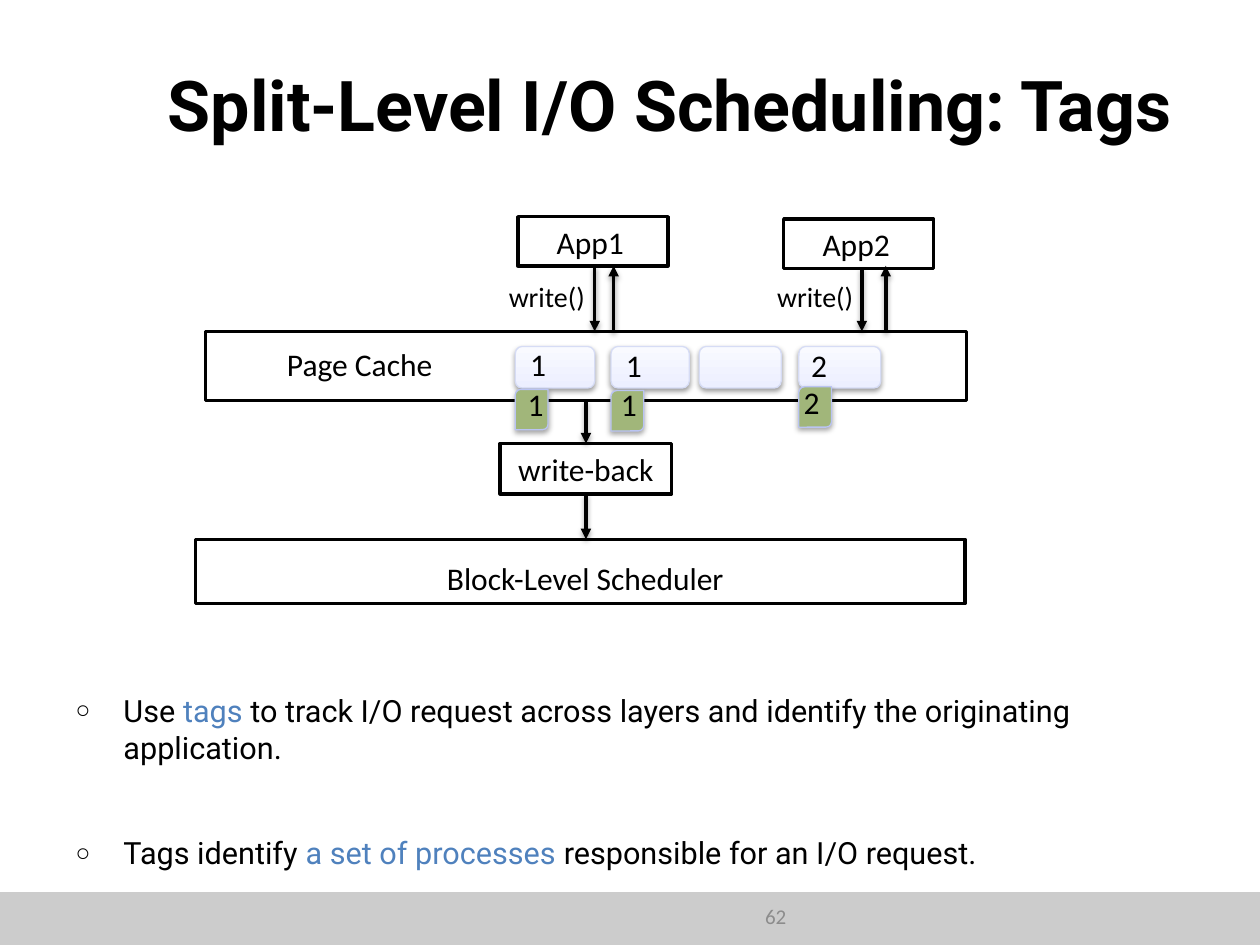
import lxml.etree
import pptx
import pptx.dml.color
import pptx.enum.shapes
import pptx.enum.text
import pptx.oxml.ns
import pptx.util

Inches = pptx.util.Inches
Pt = pptx.util.Pt
Shape = pptx.enum.shapes.MSO_SHAPE
Align = pptx.enum.text.PP_ALIGN
AutoSize = pptx.enum.text.MSO_AUTO_SIZE

COLORS = {
    "ink": "000000",
    "paper": "FFFFFF",
    "footer": "CCCCCC",
    "number": "8C8C8C",
    "accent": "4F81BD",
    "page_low": "ECEFFF",
    "page_high": "F9FAFF",
    "page_edge": "D6DCF5",
    "tag": "A1B67A",
    "tag_edge": "BAC4F2",
}


def rgb(name):
    return pptx.dml.color.RGBColor.from_string(COLORS[name])


def add_xml(parent, tag, **attributes):
    return lxml.etree.SubElement(parent, pptx.oxml.ns.qn(tag), attributes)


class SlideBuilder:
    heading_font = "Roboto"
    diagram_font = "Calibri"
    line_width = Pt(2)
    thin_width = Pt(0.75)

    def __init__(self, slide):
        self.slide = slide

    def style(self, font, name, size, color="ink", bold=False):
        font.name = name
        font.size = Pt(size)
        font.bold = bold
        font.color.rgb = rgb(color)

    def place(self, shape, left, top, width, height):
        shape.left, shape.top = Inches(left), Inches(top)
        shape.width, shape.height = Inches(width), Inches(height)

    def shadow(self, effects, opacity):
        outer = add_xml(effects, "a:outerShdw", blurRad=str(Pt(3.1)), dist=str(Pt(1.6)),
                        dir="5400000", rotWithShape="0")
        color = add_xml(outer, "a:srgbClr", val=COLORS["ink"])
        add_xml(color, "a:alpha", val=str(opacity * 1000))

    def title(self, text, left, top, width, height):
        title = self.slide.shapes.title
        self.place(title, left, top, width, height)
        frame = title.text_frame
        frame.text = text
        frame.auto_size = AutoSize.NONE
        frame.vertical_anchor = pptx.enum.text.MSO_ANCHOR.MIDDLE
        para = frame.paragraphs[0]
        para.alignment = Align.CENTER
        self.style(para.runs[0].font, self.heading_font, 40, bold=True)

    def bullets(self, items, left, top, width, height):
        body = self.slide.placeholders[1]
        self.place(body, left, top, width, height)
        frame = body.text_frame
        frame.auto_size = AutoSize.NONE
        for index, pieces in enumerate(items):
            para = frame.add_paragraph() if index else frame.paragraphs[0]
            properties = para._p.get_or_add_pPr()
            properties.set("marL", str(Inches(0.38)))
            properties.set("indent", str(Inches(-0.38)))
            add_xml(add_xml(properties, "a:buClr"), "a:srgbClr", val=COLORS["ink"])
            add_xml(properties, "a:buSzPct", val="80000")
            add_xml(properties, "a:buChar", char="○")
            para.space_before = Pt(3.5 if index else 0)
            para.space_after = Pt(36)
            for text, color in pieces:
                span = para.add_run()
                span.text = text
                self.style(span.font, self.heading_font, 17.5, color)

    def box(self, left, top, width, height, fill="paper", line="ink", kind=Shape.RECTANGLE):
        box = self.slide.shapes.add_shape(
            kind, Inches(left), Inches(top), Inches(width), Inches(height))
        box.shadow.inherit = False
        if fill:
            box.fill.solid()
            box.fill.fore_color.rgb = rgb(fill)
        else:
            box.fill.background()
        if line:
            box.line.color.rgb = rgb(line)
            box.line.width = self.line_width
        else:
            box.line.fill.background()
        return box

    def page(self, left, width):
        page = self.box(left, 2.75, width, 0.33, "page_low", "page_edge", Shape.ROUNDED_RECTANGLE)
        page.line.width = self.thin_width
        page.fill.gradient()
        page.fill.gradient_angle = 90
        for stop, color in zip(page.fill.gradient_stops, ("page_low", "page_high")):
            stop.color.rgb = rgb(color)
        self.shadow(page._element.spPr.find(pptx.oxml.ns.qn("a:effectLst")), 38)

    def tag(self, left, top):
        tag = self.box(left, top, 0.26, 0.32, "tag", "tag_edge",
                       Shape.ROUND_2_DIAG_RECTANGLE)
        tag.line.width = self.thin_width
        self.shadow(tag._element.spPr.find(pptx.oxml.ns.qn("a:effectLst")), 35)

    def set_text(self, shape, text, size=18, color="ink", alignment=Align.CENTER, wrap=True):
        frame = shape.text_frame
        frame.text = text
        frame.word_wrap = wrap
        para = frame.paragraphs[0]
        para.alignment = alignment
        self.style(para.runs[0].font, self.diagram_font, size, color)

    def label(self, text, left, top, width, height=0.4, **options):
        label = self.slide.shapes.add_textbox(
            Inches(left), Inches(top), Inches(width), Inches(height))
        self.set_text(label, text, **options)

    def arrow(self, x, start, end, source=None, target=None):
        arrow = self.slide.shapes.add_connector(
            pptx.enum.shapes.MSO_CONNECTOR.STRAIGHT,
            Inches(x), Inches(start), Inches(x), Inches(end))
        arrow.line.color.rgb = rgb("ink")
        arrow.line.width = self.line_width
        add_xml(arrow.line._get_or_add_ln(), "a:tailEnd", type="triangle")
        self.shadow(add_xml(arrow._element.spPr, "a:effectLst"), 38)
        if source:
            arrow.begin_connect(source, 2)
        if target:
            arrow.end_connect(target, 0)


def main():
    deck = pptx.Presentation()
    deck.slide_width, deck.slide_height = Inches(10), Inches(7.5)
    builder = SlideBuilder(deck.slides.add_slide(deck.slide_layouts[1]))

    builder.box(0, 7.08, 10, 0.42, "footer", None)
    builder.label("62", 4.01, 7.12, 2.33, 0.33, size=12, color="number", alignment=Align.RIGHT)
    builder.title("Split-Level I/O Scheduling: Tags", 1.06, 0.33, 8.51, 0.98)

    cache = builder.box(1.63, 2.63, 6.04, 0.55)
    builder.label("Page Cache", 1.61, 2.69, 2.49)
    for left, width in ((4.09, 0.63), (4.85, 0.62), (5.55, 0.65), (6.34, 0.65)):
        builder.page(left, width)

    apps = (
        ("App1", 4.11, 1.72, 3.94, 4.72, 4.87),
        ("App2", 6.22, 1.74, 6.07, 6.84, 7.03),
    )
    for name, left, top, call_left, down, up in apps:
        builder.box(left, top, 1.19, 0.39)
        builder.label(name, left - 0.02, top, 1.19)
        builder.label("write()", call_left, 2.17, 0.93, 0.35, size=16, alignment=Align.LEFT)
        builder.arrow(down, top + 0.39, 2.63)
        builder.arrow(up, 2.63, 2.11)

    builder.box(1.55, 4.28, 6.11, 0.51)
    builder.label("Block-Level Scheduler", 3.22, 4.39, 2.85)
    write_back = builder.box(3.97, 3.52, 1.36, 0.4, fill=None)
    builder.set_text(write_back, "write-back")
    builder.arrow(4.65, 3.18, 3.52, cache, write_back)
    builder.arrow(4.65, 3.92, 4.28, write_back)

    tagged_pages = (
        ("1", 4.11, 2.69, 4.09, 3.09, 4.09, 3.01),
        ("1", 4.87, 2.7, 4.85, 3.1, 4.83, 3.01),
        ("2", 6.34, 2.7, 6.34, 3.07, 6.28, 2.99),
    )
    for number, page_left, page_top, tag_left, tag_top, text_left, text_top in tagged_pages:
        builder.tag(tag_left, tag_top)
        for left, top in ((page_left, page_top), (text_left, text_top)):
            builder.label(number, left, top, 0.33, alignment=Align.LEFT, wrap=False)

    builder.bullets((
        (("Use ", "ink"), ("tags", "accent"),
         (" to track I/O request across layers and identify the originating application.", "ink")),
        (("Tags identify ", "ink"), ("a set of processes ", "accent"),
         ("responsible for an I/O request.", "ink")),
    ), 0.5, 5.44, 9, 1.64)

    deck.save("out.pptx")


if __name__ == "__main__":
    main()
